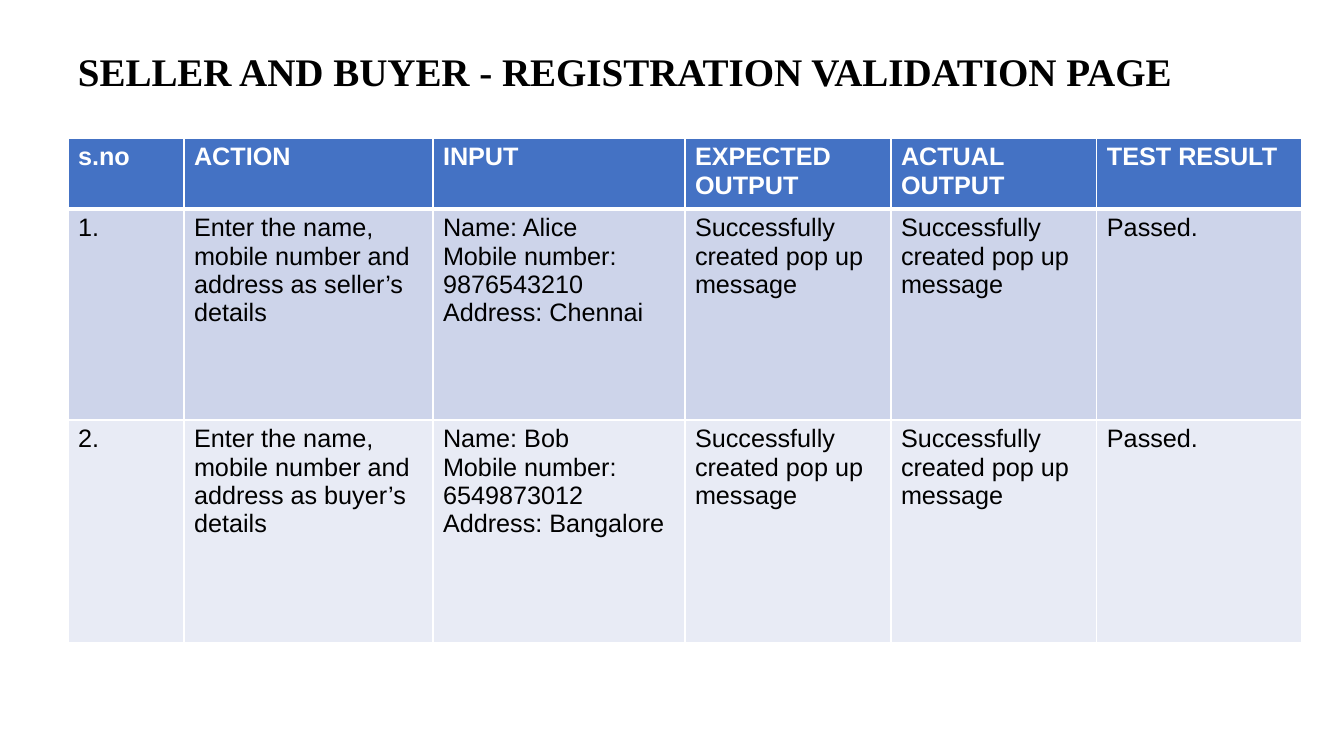
from lxml.etree import SubElement
from pptx import Presentation
from pptx.dml.color import RGBColor
from pptx.enum.text import MSO_ANCHOR
from pptx.oxml.ns import qn
from pptx.util import Emu, Pt

WHITE = RGBColor(0xFF, 0xFF, 0xFF)
BLACK = RGBColor(0, 0, 0)
HEADER_BLUE = RGBColor(0x44, 0x72, 0xC4)
BANDS = [RGBColor(0xCD, 0xD4, 0xEA), RGBColor(0xE8, 0xEB, 0xF5)]

HEADERS = ["s.no", "ACTION", "INPUT", "EXPECTED OUTPUT", "ACTUAL OUTPUT", "TEST RESULT"]
USERS = [
    ("seller", "Alice", "9876543210", "Chennai"),
    ("buyer", "Bob", "6549873012", "Bangalore"),
]
COL_WIDTHS = [116, 249, 252, 206, 206, 205]
ROW_HEIGHTS = [71, 211, 223]


def px(n):
    return Emu(round(n * 914400 / 100.8))


def style_run(r, font, size, color, bold):
    r.font.name, r.font.size = font, Pt(size)
    r.font.color.rgb, r.font.bold = color, bold


def set_borders(cell, **widths):
    """Draw white borders; the lines must come before the cell's fill."""
    tcPr = cell._tc.get_or_add_tcPr()
    for side in "LRTB":
        ln = SubElement(tcPr, qn(f"a:ln{side}"), w=str(Pt(widths.get(side, 1))))
        fill = SubElement(ln, qn("a:solidFill"))
        SubElement(fill, qn("a:srgbClr"), val=str(WHITE))


def add_title(s, x, y, w, h):
    tf = s.shapes.add_textbox(px(x), px(y), px(w), px(h)).text_frame
    tf.word_wrap = True
    tf.vertical_anchor = MSO_ANCHOR.MIDDLE
    p = tf.paragraphs[0]
    p.text = "SELLER AND BUYER - REGISTRATION VALIDATION PAGE"
    p.line_spacing = 0.9
    style_run(p.runs[0], "Times New Roman", 27.9, BLACK, True)


def test_case(number, role, name, mobile, city):
    result = "Successfully created pop up message"
    return [
        f"{number}.",
        f"Enter the name, mobile number and address as {role}’s details",
        f"Name: {name}\nMobile number:\n{mobile}\nAddress: {city}",
        result,
        result,
        "Passed.",
    ]


def add_test_table(s, x, y):
    rows = [HEADERS] + [test_case(i, *user) for i, user in enumerate(USERS, 1)]
    table = s.shapes.add_table(
        len(rows), len(HEADERS), px(x), px(y), px(sum(COL_WIDTHS)), px(sum(ROW_HEIGHTS))
    ).table
    for col, width in zip(table.columns, COL_WIDTHS):
        col.width = px(width)
    for i, (row, height, texts) in enumerate(zip(table.rows, ROW_HEIGHTS, rows)):
        row.height = px(height)
        header = i == 0
        for cell, text in zip(row.cells, texts):
            cell.text = text
            # Thick rule between the header and the body
            set_borders(cell, T=3 if i == 1 else 1, B=3 if header else 1)
            cell.fill.solid()
            cell.fill.fore_color.rgb = HEADER_BLUE if header else BANDS[i - 1]
            for p in cell.text_frame.paragraphs:
                style_run(p.runs[0], "Arial", 18, WHITE if header else BLACK, header)


prs = Presentation()
prs.slide_width, prs.slide_height = px(1344), px(756)
s = prs.slides.add_slide(prs.slide_layouts[6])
add_test_table(s, 68, 138)
add_title(s, 68, 25, 1159, 98)
prs.save("out.pptx")
